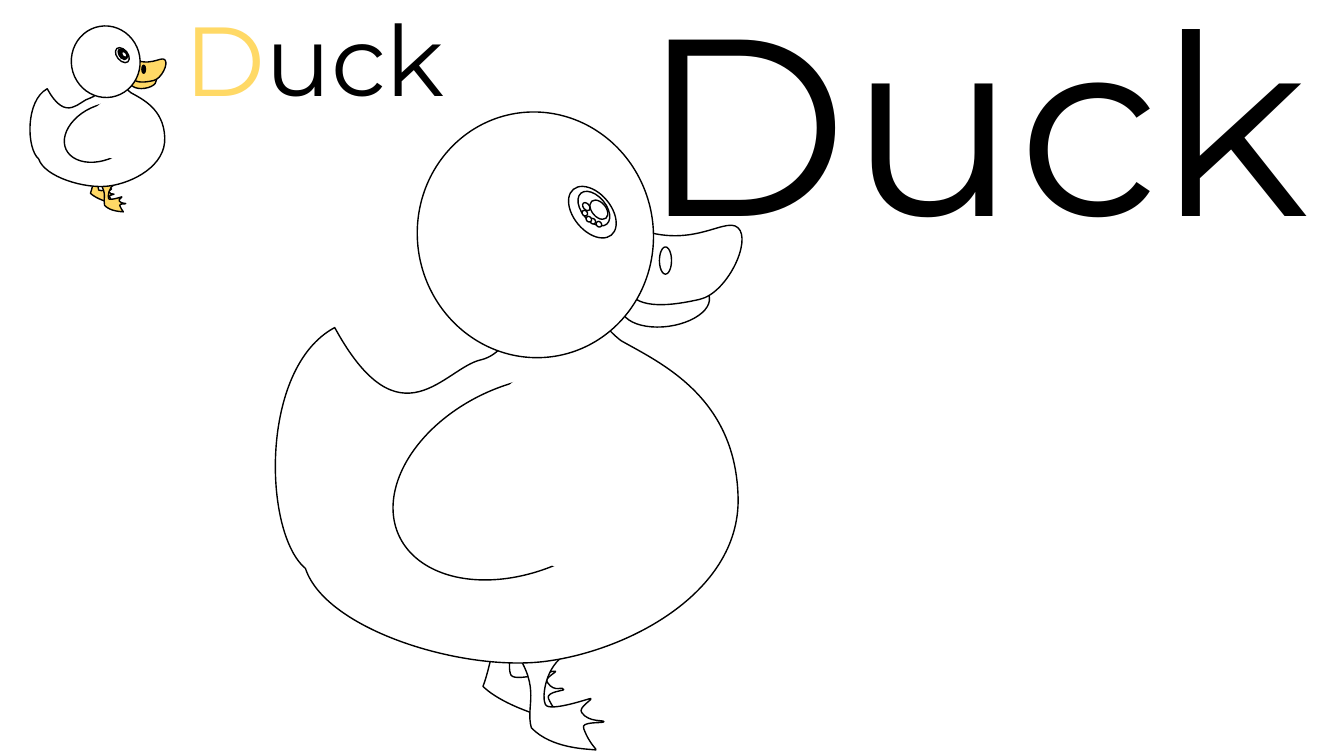
from dataclasses import dataclass
from math import cos, radians, sin

from lxml import etree
from pptx import Presentation
from pptx.dml.color import RGBColor
from pptx.enum.shapes import MSO_SHAPE as Shape
from pptx.enum.text import MSO_ANCHOR as Anchor, MSO_AUTO_SIZE as AutoSize, PP_ALIGN as Align
from pptx.oxml.ns import qn
from pptx.util import Inches, Pt


@dataclass(frozen=True)
class Theme:
    font: str = "Montserrat"
    black: str = "000000"
    white: str = "FFFFFF"
    yellow: str = "FFD966"
    pale_blue: str = "DAE3F3"
    title_size: int = 180
    word_size: int = 70
    outline: int = 1


THEME = Theme()
OUTLINE_ONLY = dict.fromkeys(("body", "orange", "dark", "glint"), THEME.white)
COLOURED = {"body": THEME.white, "orange": THEME.yellow, "dark": THEME.black, "glint": THEME.pale_blue}

# Outlines in inches: frame (left, top, width, height, rotation), colour role,
# then the start point and line ends (2 numbers) or Bézier curves (6 numbers)
BACK_FOOT = (4.79, 6.2, 0.8, 0.95, 0), "orange", [
    (5.17, 6.2), (4.95, 6.22), (4.9, 6.37, 4.85, 6.66, 4.79, 6.81), (5, 7.01, 5.44, 7.13, 5.55, 7.15),
    (5.65, 7.17, 5.51, 7.09, 5.44, 6.93), (5.41, 6.86, 5.62, 6.85, 5.59, 6.84),
    (5.59, 6.8, 5.5, 6.88, 5.43, 6.77), (5.39, 6.73, 5.52, 6.67, 5.51, 6.66),
    (5.51, 6.64, 5.13, 6.77, 5.07, 6.7), (5.02, 6.62, 5.09, 6.3, 5.17, 6.2)]
FRONT_FOOT = (5.11, 6.46, 0.88, 0.98, 0), "orange", [
    (5.62, 6.49), (5.11, 6.46), (5.37, 6.84, 5.21, 7, 5.27, 7.22), (5.47, 7.43, 5.83, 7.43, 5.91, 7.44),
    (5.93, 7.44, 5.85, 7.39, 5.79, 7.23), (5.75, 7.15, 5.99, 7.18, 5.99, 7.16),
    (5.99, 7.14, 5.84, 7.17, 5.77, 7.07), (5.73, 7.02, 5.88, 6.94, 5.86, 6.93),
    (5.87, 6.92, 5.45, 7.07, 5.41, 6.99), (5.37, 6.92, 5.41, 6.6, 5.62, 6.49)]
BODY = (2.74, 2.87, 4.53, 3.73, 350.3), "body", [
    (7.32, 4.9), (7.28, 3.93, 6.55, 3.6, 6.16, 3.38), (5.86, 3.15, 5.73, 2.73, 5.5, 2.76),
    (5.27, 2.79, 5.13, 3.49, 4.77, 3.57), (4.41, 3.65, 3.97, 4.44, 3.32, 3.25),
    (2.57, 3.65, 2.61, 5.29, 3.03, 5.64), (3.23, 6.25, 4.6, 6.67, 5.42, 6.56),
    (6.25, 6.45, 7.37, 5.86, 7.32, 4.9)]
UPPER_BILL = (6.01, 1.74, 1.31, 1.3, 334.1), "orange", [
    (7.32, 2.26), (7.18, 2.13, 6.79, 2.57, 6.1, 2.16), (5.41, 1.76, 6.19, 2.7, 6.23, 2.88),
    (6.32, 3.08, 6.68, 3.03, 6.94, 2.97), (7.21, 2.91, 7.46, 2.39, 7.32, 2.26)]

# Ovals: left, top, width, height, rotation, colour role
LOWER_BILL = (6.16, 2.78, 0.88, 0.46, 352.3, "orange")
EYE_TILT = 50.2
HEAD_OVALS = [
    (4.14, 1.11, 2.34, 2.44, 350.3, "body"),
    (6.54, 2.45, 0.12, 0.27, 0, "dark"),
    (5.58, 1.92, 0.59, 0.37, EYE_TILT, "body"),
    (5.69, 1.95, 0.4, 0.24, EYE_TILT, "dark"),
    (5.83, 2.01, 0.22, 0.14, EYE_TILT, "body"),
    *[(x, y, 0.06, 0.05, EYE_TILT, "glint")
      for x, y in ((5.91, 2.2), (5.85, 2.17), (5.81, 2.15), (5.77, 2.09))],
    (5.77, 2.02, 0.09, 0.06, EYE_TILT, "body")]
WING = (3.83, 3.82, 2.72, 1.84, 154.9, "body")
WING_COVER = (4.68, 3.71, 2.15, 1.84, 59.1, "body")


def into_frame(frame, x, y):
    """Turn a slide point into one inside an unrotated frame."""
    left, top, width, height, rotation = frame
    angle = radians(-rotation)
    dx, dy = x - left - width / 2, y - top - height / 2
    return (width / 2 + dx * cos(angle) - dy * sin(angle),
            height / 2 + dx * sin(angle) + dy * cos(angle))


class Card:
    def __init__(self, slide, theme):
        self.slide, self.theme = slide, theme

    def paint(self, shape, fill, line=None):
        shape.shadow.inherit = False
        shape.fill.solid()
        shape.fill.fore_color.rgb = RGBColor.from_string(fill)
        if line:
            shape.line.color.rgb = RGBColor.from_string(line)
            shape.line.width = Pt(self.theme.outline)
        else:
            shape.line.fill.background()

    def backdrop(self, width, height):
        panel = self.slide.shapes.add_shape(Shape.RECTANGLE, 0, 0, width, height)
        self.paint(panel, self.theme.white, self.theme.white)
        self.slide.shapes.title.element.addprevious(panel.element)

    def word(self, box, at, size, runs):
        """Fill a text box with runs of (text, colour, outline width, dash)."""
        box.left, box.top, box.width, box.height = map(Inches, at)
        frame = box.text_frame
        frame.word_wrap = True
        frame.auto_size = AutoSize.SHAPE_TO_FIT_TEXT
        frame.vertical_anchor = Anchor.TOP
        paragraph = frame.paragraphs[0]
        paragraph.alignment = Align.LEFT
        paragraph.line_spacing = 1.0
        paragraph.space_before = Pt(0)
        paragraph.font.name, paragraph.font.size = self.theme.font, Pt(size)
        for text, colour, outline, dash in runs:
            run = paragraph.add_run()
            run.text = text
            run.font.color.rgb = RGBColor.from_string(colour)
            if outline:
                self.outline_letters(run, outline, dash)

    def outline_letters(self, run, width, dash):
        line = etree.Element(qn("a:ln"), w=str(Pt(width)))
        fill = etree.SubElement(line, qn("a:solidFill"))
        etree.SubElement(fill, qn("a:srgbClr"), val=self.theme.black)
        etree.SubElement(line, qn("a:prstDash"), val=dash)
        run.font._element.insert(0, line)

    def curve(self, shape, size, parts):
        """Redraw a freeform of the given size with its curved parts."""
        contour = shape.element.find(".//" + qn("a:path"))
        contour.set("w", str(size[0]))
        contour.set("h", str(size[1]))
        for old, points in zip(list(contour), parts):
            new = etree.Element(qn("a:cubicBezTo") if len(points) == 3 else old.tag)
            for x, y in points:
                etree.SubElement(new, qn("a:pt"), x=str(x), y=str(y))
            contour.replace(old, new)

    def duck(self, left, top, scale, colours):
        """Draw the duck with its body's top left corner at left, top."""
        group = self.slide.shapes.add_group_shape().shapes

        def place(x, y):
            return Inches(left + (x - 2.74) * scale), Inches(top + (y - 2.87) * scale)

        def free(outline):
            frame, role, parts = outline
            local = [[tuple(Inches(scale * v) for v in into_frame(frame, *part[i:i + 2]))
                      for i in range(0, len(part), 2)] for part in parts]
            builder = group.build_freeform(*local[0][0])
            builder.add_line_segments([points[-1] for points in local[1:]], close=True)
            shape = builder.convert_to_shape()
            x, y, width, height, rotation = frame
            size = Inches(width * scale), Inches(height * scale)
            self.curve(shape, size, local)
            shape.left, shape.top = place(x, y)
            shape.width, shape.height = size
            shape.rotation = rotation
            self.paint(shape, colours[role], self.theme.black)

        def preset(oval, kind=Shape.OVAL, line=self.theme.black):
            x, y, width, height, rotation, role = oval
            shape = group.add_shape(kind, *place(x, y), Inches(width * scale), Inches(height * scale))
            shape.rotation = rotation
            self.paint(shape, colours[role], line)
            return shape

        # Feet and body
        for outline in (BACK_FOOT, FRONT_FOOT, BODY):
            free(outline)
        # Bill, head and eye
        preset(LOWER_BILL)
        free(UPPER_BILL)
        for oval in HEAD_OVALS:
            preset(oval)
        # Wing, with its front end hidden
        preset(WING)
        preset(WING_COVER, Shape.ROUNDED_RECTANGLE, None).adjustments[0] = 0.5
        # Fit the group to its moved freeforms
        group._recalculate_extents()


def main():
    deck = Presentation()
    deck.slide_width, deck.slide_height = Inches(13.33), Inches(7.5)
    slide = deck.slides.add_slide(deck.slide_layouts[5])
    card = Card(slide, THEME)
    card.backdrop(deck.slide_width, deck.slide_height)

    # Words
    card.word(slide.shapes.title, (6.25, -0.4, 7.16, 3.13), THEME.title_size,
              [("Duck", THEME.black, 3, "sysDot")])
    small_word = slide.shapes.add_textbox(0, 0, 0, 0)
    card.word(small_word, (1.73, -0.06, 3.05, 1.28), THEME.word_size,
              [("D", THEME.yellow, 0.75, "solid"), ("uck", THEME.black, 0, None)])

    # Duck to colour in, and the coloured example
    card.duck(2.74, 2.87, 1, OUTLINE_ONLY)
    card.duck(0.3, 0.77, 1.32 / 4.53, COLOURED)

    deck.save("out.pptx")


if __name__ == "__main__":
    main()
